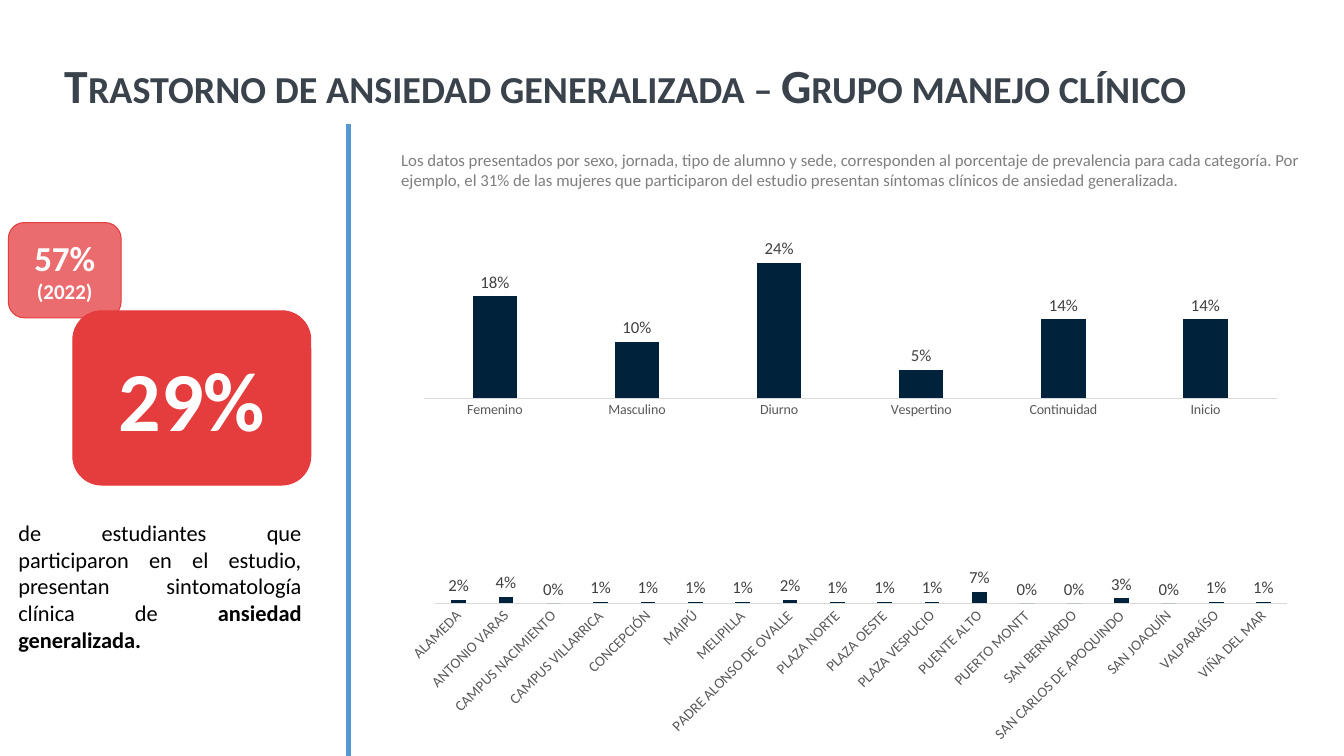
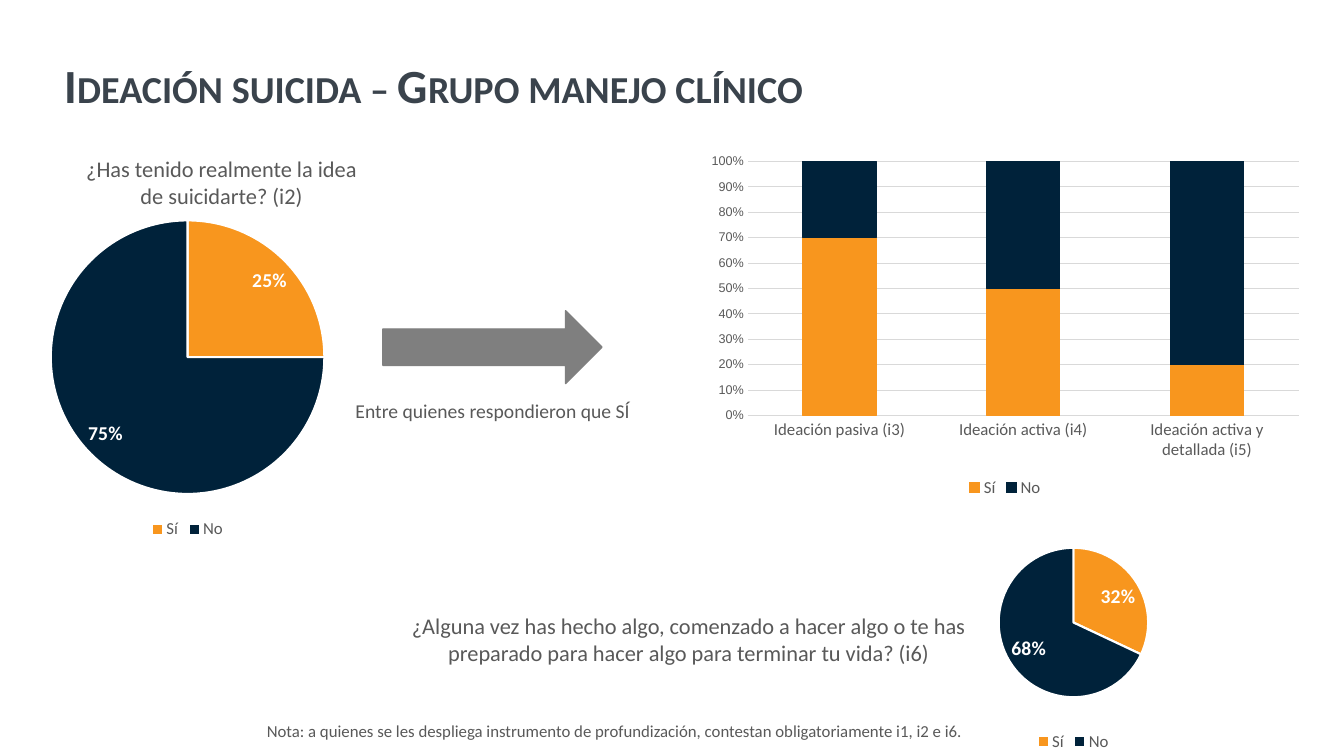
"""Build two slides on anxiety and suicidal ideation results."""
from dataclasses import dataclass

from lxml import etree
from pptx import Presentation
from pptx.chart.chart import Chart
from pptx.chart.data import CategoryChartData
from pptx.dml.color import RGBColor
from pptx.enum.chart import XL_CHART_TYPE, XL_LABEL_POSITION, XL_LEGEND_POSITION, XL_TICK_MARK
from pptx.enum.shapes import MSO_CONNECTOR, MSO_SHAPE
from pptx.enum.text import MSO_ANCHOR, PP_ALIGN
from pptx.oxml.ns import qn
from pptx.shapes.autoshape import Shape
from pptx.slide import Slide
from pptx.util import Pt

LEFT, MID, JUST = PP_ALIGN.LEFT, PP_ALIGN.CENTER, PP_ALIGN.JUSTIFY
CENTRE = MSO_ANCHOR.MIDDLE
ROUND, ARROW = MSO_SHAPE.ROUNDED_RECTANGLE, MSO_SHAPE.RIGHT_ARROW
LINE = MSO_CONNECTOR.STRAIGHT
BARS, STACK, PIE = XL_CHART_TYPE.COLUMN_CLUSTERED, XL_CHART_TYPE.COLUMN_STACKED, XL_CHART_TYPE.PIE
OUT, FIT = XL_LABEL_POSITION.OUTSIDE_END, XL_LABEL_POSITION.BEST_FIT
BOTTOM, NONE = XL_LEGEND_POSITION.BOTTOM, XL_TICK_MARK.NONE
RATE = "0%"


@dataclass(frozen=True)
class Theme:
    """Fonts, colours and type sizes."""
    font: str = "Calibri"
    plain: str = "Arial"
    title: str = "3A434C"
    navy: str = "00223A"
    amber: str = "F8961E"
    red: str = "E53C3E"
    blue: str = "5698D3"
    white: str = "FFFFFF"
    black: str = "000000"
    text: str = "595959"
    dark: str = "404040"
    grey: str = "7F7F7F"
    rule: str = "D9D9D9"
    head: float = 34
    huge: float = 60
    big: float = 25
    year: float = 15
    body: float = 16
    lead: float = 14
    note: float = 12
    tick: float = 10
    site: float = 10.5
    scale: float = 9


T = Theme()


@dataclass(frozen=True)
class Box:
    """A place on the slide, in points."""
    x: float
    y: float
    w: float
    h: float

    def place(self) -> tuple:
        """Return left, top, width and height."""
        return Pt(self.x), Pt(self.y), Pt(self.w), Pt(self.h)


@dataclass(frozen=True)
class Label:
    """A plain text box."""
    box: Box
    text: str
    size: float
    hue: str = T.text
    align: PP_ALIGN = MID


@dataclass(frozen=True)
class Badge:
    """A rounded box with one or two bold lines."""
    box: Box
    text: str
    sizes: tuple[float, ...]
    alpha: int = 100


@dataclass(frozen=True)
class Bars:
    """A column chart of rates by group."""
    box: Box
    rates: dict[str, float]
    top: float
    size: float
    turn: int = 0


@dataclass(frozen=True)
class Pie:
    """A pie of yes and no answers."""
    box: Box
    yes: float
    no: float


def color(code: str) -> RGBColor:
    """Turn a hex code into a colour."""
    return RGBColor.from_string(code)


def style(font, size: float, hue: str, bold: bool = False, face: str = T.font) -> None:
    """Set face, size, colour and weight of a font."""
    font.name, font.size, font.bold = face, Pt(size), bold
    font.color.rgb = color(hue)


def paint(part, hue: str, edge: str, width: float) -> None:
    """Fill a shape or chart part and draw its edge."""
    part.fill.solid()
    part.fill.fore_color.rgb = color(hue)
    part.line.color.rgb = color(edge)
    part.line.width = Pt(width)


def label(slide: Slide, item: Label) -> Shape:
    """Draw a text box."""
    shape = slide.shapes.add_textbox(*item.box.place())
    frame = shape.text_frame
    frame.word_wrap = True
    frame.text = item.text
    for para in frame.paragraphs:
        para.alignment = item.align
        for run in para.runs:
            style(run.font, item.size, item.hue)
    return shape


def title(slide: Slide, text: str) -> None:
    """Draw the slide title in small caps."""
    frame = label(slide, Label(Box(39, 29, 917, 68), text, T.head, T.title, LEFT)).text_frame
    frame.vertical_anchor = CENTRE
    para = frame.paragraphs[0]
    para.line_spacing = 0.9
    font = para.runs[0].font
    font.bold = True
    font._element.set("cap", "small")


def figure(slide: Slide, kind: MSO_SHAPE, box: Box, hue: str, width: float) -> Shape:
    """Draw a flat preset shape."""
    shape = slide.shapes.add_shape(kind, *box.place())
    shape.shadow.inherit = False
    paint(shape, hue, hue, width)
    return shape


def badge(slide: Slide, item: Badge) -> None:
    """Draw a rounded badge."""
    shape = figure(slide, ROUND, item.box, T.red, 0.75)
    if item.alpha < 100:
        fill = shape._element.spPr.find(qn("a:solidFill"))
        etree.SubElement(fill[0], qn("a:alpha")).set("val", str(item.alpha * 1000))
    frame = shape.text_frame
    frame.text = item.text
    frame.vertical_anchor = CENTRE
    for para, size in zip(frame.paragraphs, item.sizes):
        para.alignment = MID
        style(para.runs[0].font, size, T.white, True)


def chart(slide: Slide, kind: XL_CHART_TYPE, box: Box, cats: list[str],
          rows: dict[str, list[float]]) -> Chart:
    """Add a chart with the shared basic style."""
    data = CategoryChartData(number_format=RATE)
    data.categories = cats
    for name, vals in rows.items():
        data.add_series(name, vals)
    graph = slide.shapes.add_chart(kind, *box.place(), data).chart
    graph.has_title = graph.has_legend = False
    style(graph.font, T.tick, T.black, face=T.plain)
    graph.plots[0].vary_by_categories = kind == PIE
    return graph


def legend(graph: Chart) -> None:
    """Put a legend under the plot."""
    graph.has_legend = True
    graph.legend.position = BOTTOM
    graph.legend.include_in_layout = False
    style(graph.legend.font, T.note, T.text)


def values(graph: Chart, spot: XL_LABEL_POSITION, size: float, hue: str, bold: bool) -> None:
    """Show rates on the plot."""
    plot = graph.plots[0]
    plot.has_data_labels = True
    tags = plot.data_labels
    tags.show_value = True
    tags.number_format, tags.number_format_is_linked = RATE, False
    tags.position = spot
    style(tags.font, size, hue, bold)


def axes(graph: Chart, size: float, top: float) -> None:
    """Style the category axis and fix the value scale."""
    base, scale = graph.category_axis, graph.value_axis
    base.major_tick_mark = scale.major_tick_mark = NONE
    base.format.line.color.rgb = color(T.rule)
    base.format.line.width = Pt(0.75)
    style(base.tick_labels.font, size, T.text)
    scale.minimum_scale, scale.maximum_scale = 0, top


def bars(slide: Slide, item: Bars) -> None:
    """Draw a column chart without a value axis."""
    rows = {"Prevalencia": list(item.rates.values())}
    graph = chart(slide, BARS, item.box, list(item.rates), rows)
    axes(graph, item.size, item.top)
    graph.value_axis.has_major_gridlines = False
    graph.value_axis.visible = False
    plot = graph.plots[0]
    plot.gap_width, plot.overlap = 219, -27
    fill = plot.series[0].format.fill
    fill.solid()
    fill.fore_color.rgb = color(T.navy)
    values(graph, OUT, T.note, T.dark, False)
    if item.turn:
        body = graph.category_axis._element.find(qn("c:txPr")).find(qn("a:bodyPr"))
        body.set("rot", str(item.turn * 60000))
        body.set("vert", "horz")


def pie(slide: Slide, item: Pie) -> None:
    """Draw a pie of yes and no."""
    graph = chart(slide, PIE, item.box, ["Sí", "No"], {"Respuesta": [item.yes, item.no]})
    for spot, hue in enumerate((T.amber, T.navy)):
        paint(graph.plots[0].series[0].points[spot].format, hue, T.white, 1.5)
    values(graph, FIT, T.lead, T.white, True)
    legend(graph)


def stack(slide: Slide, box: Box, cats: list[str], yes: list[float]) -> None:
    """Draw stacked columns of yes and no."""
    rows = {"Sí": yes, "No": [round(1 - part, 2) for part in yes]}
    graph = chart(slide, STACK, box, cats, rows)
    axes(graph, T.note, 1)
    scale = graph.value_axis
    scale.major_unit = 0.1
    scale.format.line.fill.background()
    grid = scale.major_gridlines.format.line
    grid.color.rgb, grid.width = color(T.rule), Pt(0.75)
    ticks = scale.tick_labels
    ticks.number_format, ticks.number_format_is_linked = RATE, False
    style(ticks.font, T.scale, T.text, face=T.plain)
    plot = graph.plots[0]
    plot.gap_width, plot.overlap = 150, 100
    for row, hue in zip(plot.series, (T.amber, T.navy)):
        paint(row.format, hue, hue, 0.75)
    legend(graph)


def rule(slide: Slide, x: float, top: float, end: float) -> None:
    """Draw the upright divider."""
    line = slide.shapes.add_connector(LINE, Pt(x), Pt(top), Pt(x), Pt(end))
    line.line.color.rgb, line.line.width = color(T.blue), Pt(3)
    etree.SubElement(line._element.spPr, qn("a:effectLst"))


def worry(slide: Slide) -> None:
    """Fill the anxiety slide."""
    title(slide, "Trastorno de ansiedad generalizada – Grupo manejo clínico")
    bars(slide, Bars(Box(279.5, 322.5, 653, 213), {
        "ALAMEDA": 0.02, "ANTONIO VARAS": 0.04, "CAMPUS NACIMIENTO": 0,
        "CAMPUS VILLARRICA": 0.01, "CONCEPCIÓN": 0.01, "MAIPÚ": 0.01, "MELIPILLA": 0.01,
        "PADRE ALONSO DE OVALLE": 0.02, "PLAZA NORTE": 0.01, "PLAZA OESTE": 0.01,
        "PLAZA VESPUCIO": 0.01, "PUENTE ALTO": 0.07, "PUERTO MONTT": 0, "SAN BERNARDO": 0,
        "SAN CARLOS DE APOQUINDO": 0.03, "SAN JOAQUÍN": 0, "VALPARAÍSO": 0.01,
        "VIÑA DEL MAR": 0.01}, 0.9, T.site, -45))
    label(slide, Label(Box(279.5, 103.5, 667, 36), (
        "Los datos presentados por sexo, jornada, tipo de alumno y sede, corresponden al "
        "porcentaje de prevalencia para cada categoría. Por ejemplo, el 31% de las mujeres que "
        "participaron del estudio presentan síntomas clínicos de ansiedad generalizada."),
        T.note, T.grey, LEFT))
    bars(slide, Bars(Box(290, 160.5, 634.5, 141), {
        "Femenino": 0.18, "Masculino": 0.1, "Diurno": 0.24, "Vespertino": 0.05,
        "Continuidad": 0.14, "Inicio": 0.14}, 0.3, T.tick))
    rule(slide, 249, 88.5, 540)
    badge(slide, Badge(Box(52, 222, 170, 124.5), "29%", (T.huge,)))
    claim = label(slide, Label(Box(6, 367, 216.5, 104.5), (
        "de estudiantes que participaron en el estudio, presentan sintomatología clínica de "),
        T.body, T.black, JUST))
    run = claim.text_frame.paragraphs[0].add_run()
    run.text = "ansiedad generalizada."
    style(run.font, T.body, T.black, True)
    badge(slide, Badge(Box(6, 159, 80.5, 68), "57%\n(2022)", (T.big, T.year), 75))


def ideas(slide: Slide) -> None:
    """Fill the ideation slide."""
    title(slide, "Ideación suicida – Grupo manejo clínico")
    pie(slide, Pie(Box(-82, 147.5, 432, 240.5), 0.25, 0.75))
    figure(slide, ARROW, Box(273.5, 222, 156.5, 52), T.grey, 1)
    stack(slide, Box(499.5, 105, 437, 253.5), [
        "Ideación pasiva (i3)", "Ideación activa (i4)", "Ideación activa y detallada (i5)"],
        [0.7, 0.5, 0.2])
    pie(slide, Pie(Box(623.5, 374.5, 286.5, 165.5), 0.32, 0.68))
    for item in (
        Label(Box(-14.5, 107.5, 345.5, 46),
              "¿Has tenido realmente la idea\nde suicidarte? (i2)", T.body),
        Label(Box(227.5, 281.5, 249, 24.5), "Entre quienes respondieron que SÍ", T.lead),
        Label(Box(273.5, 433.5, 437, 46), (
            "¿Alguna vez has hecho algo, comenzado a hacer algo o te has "
            "preparado para hacer algo para terminar tu vida? (i6)"), T.body),
        Label(Box(183.5, 511, 531.5, 21.5), (
            "Nota: a quienes se les despliega instrumento de profundización, "
            "contestan obligatoriamente i1, i2 e i6."), T.note, align=LEFT),
    ):
        label(slide, item)


def main() -> None:
    """Build and save the deck."""
    deck = Presentation()
    deck.slide_width, deck.slide_height = Pt(960), Pt(540)
    for fill in (worry, ideas):
        fill(deck.slides.add_slide(deck.slide_layouts[6]))
    deck.save("out.pptx")


if __name__ == "__main__":
    main()
